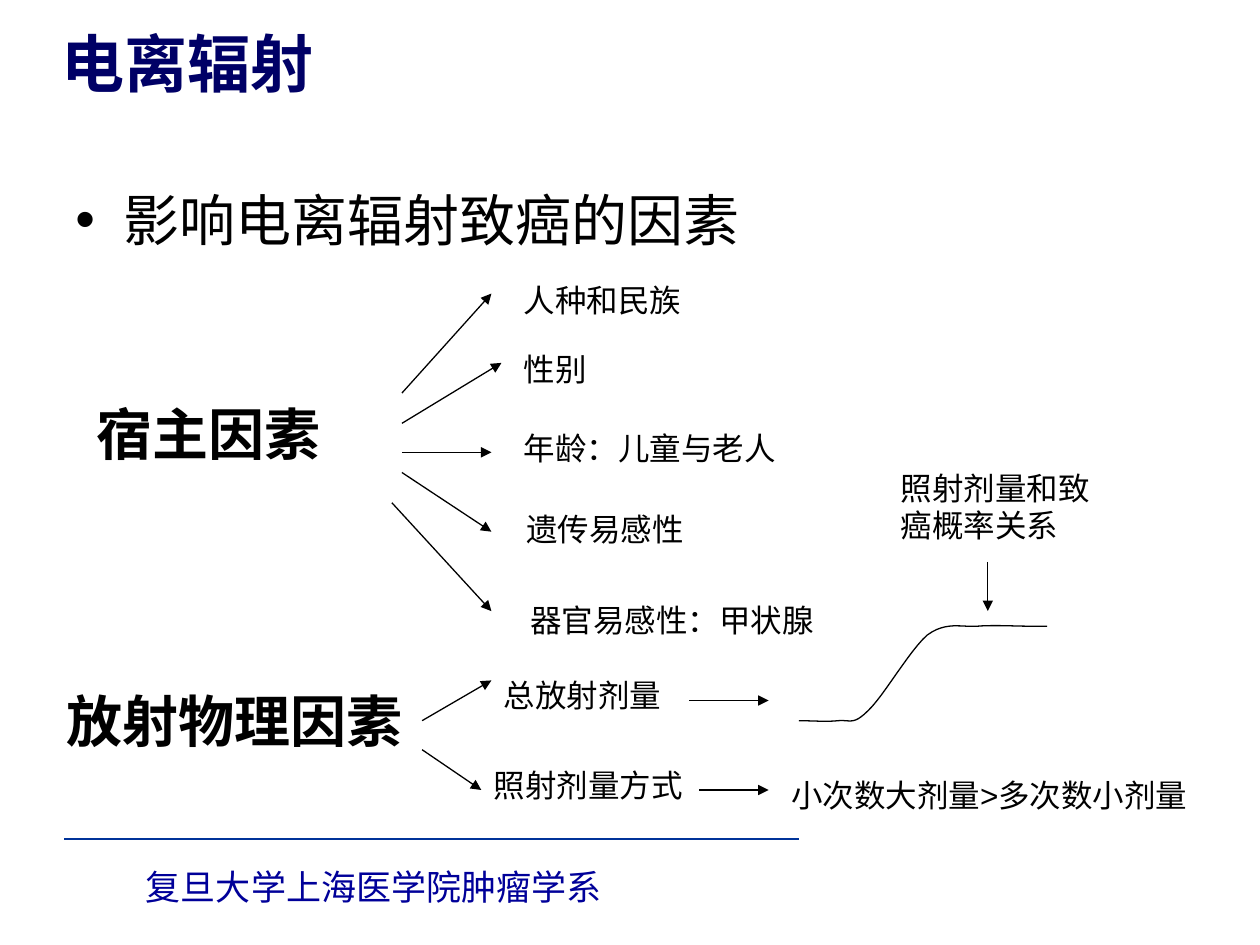
import lxml.etree
import pptx
import pptx.dml.color
import pptx.enum.shapes
import pptx.enum.text
import pptx.oxml.ns
import pptx.util

COLORS = {"title": "000066", "text": "000000", "footer": "000099", "rule": "003399"}
qn = pptx.oxml.ns.qn

deck = pptx.Presentation()
deck.slide_width = pptx.util.Inches(10)
deck.slide_height = pptx.util.Inches(7.5)
COL = deck.slide_width / 100
ROW = deck.slide_height / 75
page = deck.slides.add_slide(deck.slide_layouts[5])


def write(shape, place, text, size, color="text", bold=False, font="Arial"):
    """Place a shape at (left, top, width, height) in grid units and fill in one run."""
    left, top, width, height = place
    shape.left, shape.width = round(left * COL), round(width * COL)
    shape.top, shape.height = round(top * ROW), round(height * ROW)
    shape.text_frame.word_wrap = True
    shape.text_frame.auto_size = pptx.enum.text.MSO_AUTO_SIZE.NONE
    para = shape.text_frame.paragraphs[0]
    para.alignment = pptx.enum.text.PP_ALIGN.LEFT
    span = para.add_run()
    span.text = text
    span.font.name = font
    span.font.size = pptx.util.Pt(size)
    span.font.bold = bold
    span.font.color.rgb = pptx.dml.color.RGBColor.from_string(COLORS[color])
    if font != "Arial":
        east_asian = lxml.etree.SubElement(span.font._element, qn("a:ea"))
        east_asian.set("typeface", font)
    return para


def draw_line(start, end, color="text", arrow=True):
    line = page.shapes.add_connector(
        pptx.enum.shapes.MSO_CONNECTOR.STRAIGHT,
        round(start[0] * COL), round(start[1] * ROW),
        round(end[0] * COL), round(end[1] * ROW))
    line.line.width = pptx.util.Pt(0.75)
    line.line.color.rgb = pptx.dml.color.RGBColor.from_string(COLORS[color])
    if arrow:
        lxml.etree.SubElement(line.line._get_or_add_ln(), qn("a:tailEnd"), type="triangle")
    lxml.etree.SubElement(line._element.spPr, qn("a:effectLst"))


# Footer
footer = page.shapes.add_textbox(0, 0, 0, 0)
write(footer, (10.6, 68.2, 38.6, 4.3), "复旦大学上海医学院肿瘤学系", 20, "footer")
draw_line((5.1, 66.6), (63.4, 66.6), "rule", arrow=False)

# Title
title = page.shapes.title
write(title, (0, 0, 100, 9.9), "电离辐射", 36, "title", True, "Noto Sans CJK SC")
title.text_frame.vertical_anchor = pptx.enum.text.MSO_ANCHOR.MIDDLE
title.text_frame.margin_left = title.text_frame.margin_right = round(4.9 * COL)

# Bulleted topic
topic = page.shapes.add_textbox(0, 0, 0, 0)
para = write(topic, (5, 14.2, 82.8, 49.5), "影响电离辐射致癌的因素", 32, font="Noto Sans CJK JP")
properties = para._p.get_or_add_pPr()
properties.set("marL", str(round(3.8 * COL)))
properties.set("indent", str(round(-3.8 * COL)))
lxml.etree.SubElement(properties, qn("a:buFont"), typeface="Arial")
lxml.etree.SubElement(properties, qn("a:buChar"), char="•")

# Factor groups
for place, text in [
    ((6.7, 31.2, 23.6, 6.3), "宿主因素"),
    ((4.3, 54, 29.1, 6.3), "放射物理因素"),
]:
    write(page.shapes.add_textbox(0, 0, 0, 0), place, text, 32, bold=True)

# Individual factors and effects
for left, top, width, height, text in [
    (40.6, 21.8, 18.1, 4, "人种和民族"),
    (40.6, 27.3, 15, 4, "性别"),
    (40.6, 33.6, 25.3, 4, "年龄：儿童与老人"),
    (40.8, 40, 17.3, 4, "遗传易感性"),
    (41.1, 47.2, 28.1, 4, "器官易感性：甲状腺"),
    (39, 53.2, 19.7, 4, "总放射剂量"),
    (38.2, 60.3, 21.3, 4, "照射剂量方式"),
    (70.5, 36.7, 18.1, 7, "照射剂量和致癌概率关系"),
    (61.8, 61.1, 33.9, 4, "小次数大剂量>多次数小剂量"),
]:
    write(page.shapes.add_textbox(0, 0, 0, 0), (left, top, width, height), text, 18)

# Arrows
for start, end in [
    ((31.9, 31.2), (39, 23.3)),
    ((31.9, 33.6), (39.8, 28.8)),
    ((31.9, 35.9), (39, 35.9)),
    ((31.9, 37.5), (39, 42.2)),
    ((31.1, 39.9), (39, 48.5)),
    ((33.5, 57.2), (39, 54)),
    ((33.5, 59.5), (38.2, 62.7)),
    ((54.7, 55.6), (61, 55.6)),
    ((55.5, 62.7), (61, 62.7)),
    ((78.4, 44.6), (78.4, 48.5)),
]:
    draw_line(start, end)

# Dose-response curve: cubic Bézier segments sampled at equal steps
STEPS = 12
points = [(63.4, 57.2)]
for control_1, control_2, end in [
    ((64.5, 57.2), (65.6, 57.3), (66.5, 57.2)),
    ((67.5, 57.1), (67.7, 57.6), (68.9, 56.4)),
    ((70.1, 55.3), (72.2, 51.6), (73.6, 50.4)),
    ((75.1, 49.3), (76.3, 49.8), (77.6, 49.7)),
    ((78.9, 49.6), (80.6, 49.7), (81.5, 49.7)),
    ((82.4, 49.7), (82.7, 49.7), (83.1, 49.7)),
]:
    start = points[-1]
    for step in range(1, STEPS + 1):
        t = step / STEPS
        points.append(tuple(
            (1 - t) ** 3 * a + 3 * (1 - t) ** 2 * t * b + 3 * (1 - t) * t ** 2 * c + t ** 3 * d
            for a, b, c, d in zip(start, control_1, control_2, end)))
vertices = [(round(x * COL), round(y * ROW)) for x, y in points]
builder = page.shapes.build_freeform(*vertices[0])
builder.add_line_segments(vertices[1:], close=False)
curve = builder.convert_to_shape()
curve.shadow.inherit = False
curve.fill.background()
curve.line.width = pptx.util.Pt(0.75)
curve.line.color.rgb = pptx.dml.color.RGBColor.from_string(COLORS["text"])

deck.save("out.pptx")
